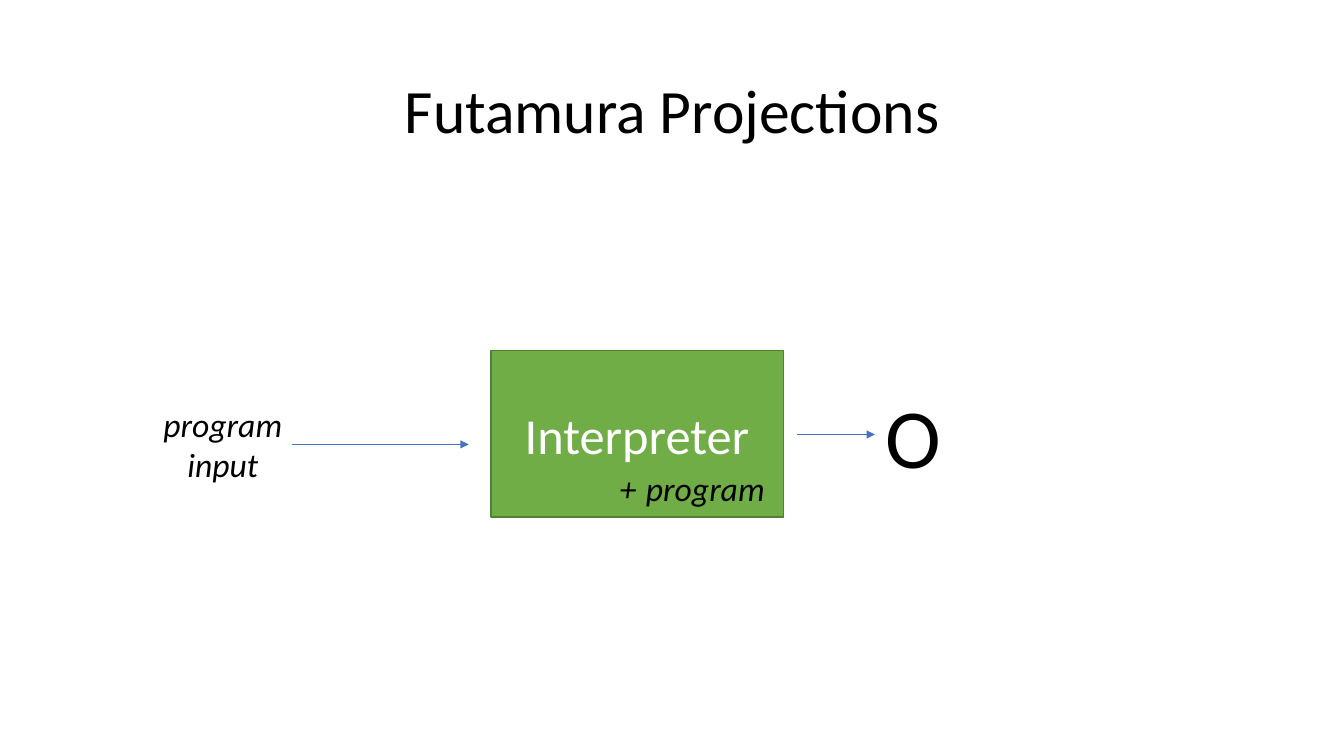
from lxml import etree
from pptx import Presentation, util as u
from pptx.dml.color import RGBColor
from pptx.enum import shapes, text
from pptx.oxml.ns import qn

COLORS = {"black": "000000", "white": "FFFFFF", "green": "70AD47",
          "dark_green": "538035", "blue": "4472C4"}
FONT = "Calibri"
LABEL_SIZE = (3.91, 4.09)

TITLE = ("Futamura Projections", (2.34, 1.02, 29.21, 3.68))
INTERPRETER = ("Interpreter", (12.37, 8.84, 7.37, 4.19))
LABELS = [
    ("O", (21.06, 8.92), {"size": 60}),
    ("program", (15.82, 10.26), {"size": 24, "italic": True}),
    ("program input", (3.66, 9.14), {"size": 24, "italic": True}),
    ("+", (13.87, 10.26), {"size": 24, "italic": True}),
]
ARROWS = [(7.37, 11.81, 11.2), (20.09, 22.05, 10.95)]


def rgb(name):
    return RGBColor.from_string(COLORS[name])


def write(shape, words, size, color="black", italic=False, spacing=1.0):
    frame = shape.text_frame
    frame.word_wrap = True
    frame.vertical_anchor = text.MSO_ANCHOR.MIDDLE
    paragraph = frame.paragraphs[0]
    paragraph.alignment = text.PP_ALIGN.CENTER
    paragraph.line_spacing = spacing
    run = paragraph.add_run()
    run.text = words
    run.font.name = FONT
    run.font.size = u.Pt(size)
    run.font.italic = italic
    run.font.color.rgb = rgb(color)


def add_label(slide, words, box, **style):
    write(slide.shapes.add_textbox(*map(u.Cm, box)), words, **style)


def add_interpreter(slide, words, box):
    shape = slide.shapes.add_shape(shapes.MSO_SHAPE.RECTANGLE, *map(u.Cm, box))
    shape.shadow.inherit = False
    shape.fill.solid()
    shape.fill.fore_color.rgb = rgb("green")
    shape.line.color.rgb = rgb("dark_green")
    shape.line.width = u.Pt(1)
    write(shape, words, size=36, color="white")


def add_arrow(slide, start, end, height):
    arrow = slide.shapes.add_connector(
        shapes.MSO_CONNECTOR.STRAIGHT, *map(u.Cm, (start, height, end, height)))
    arrow.line.color.rgb = rgb("blue")
    arrow.line.width = u.Pt(0.5)
    etree.SubElement(arrow.line._get_or_add_ln(), qn("a:tailEnd"), type="triangle")
    etree.SubElement(arrow._element.spPr, qn("a:effectLst"))


def main():
    presentation = Presentation()
    presentation.slide_width = u.Cm(33.87)
    presentation.slide_height = u.Cm(19.05)
    slide = presentation.slides.add_slide(presentation.slide_layouts[6])
    add_label(slide, *TITLE, size=44, spacing=0.9)
    add_interpreter(slide, *INTERPRETER)
    for words, corner, style in LABELS:
        add_label(slide, words, corner + LABEL_SIZE, **style)
    for arrow in ARROWS:
        add_arrow(slide, *arrow)
    presentation.save("out.pptx")


if __name__ == "__main__":
    main()
